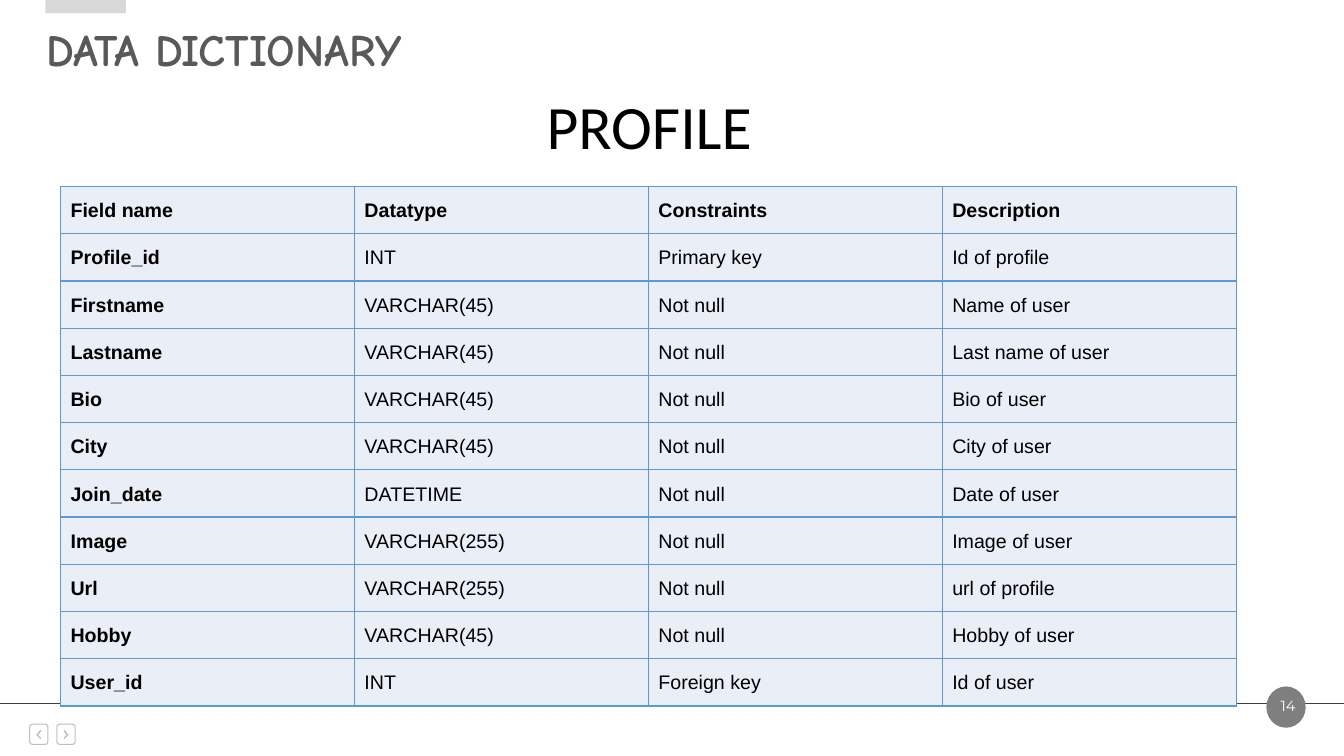
"""Build the data dictionary slide for the PROFILE table."""
from dataclasses import dataclass

from lxml.etree import SubElement
from pptx import Presentation
from pptx.dml.color import RGBColor
from pptx.enum.shapes import MSO_CONNECTOR, MSO_SHAPE
from pptx.enum.text import MSO_ANCHOR, PP_ALIGN
from pptx.oxml import parse_xml
from pptx.oxml.ns import nsdecls, qn
from pptx.util import Inches, Pt

TITLE = "DATA DICTIONARY"
TABLE_NAME = "PROFILE"
PAGE_NUMBER = "14"
FIELDS = [
    ("Field name", "Datatype", "Constraints", "Description"),
    ("Profile_id", "INT", "Primary key", "Id of profile"),
    ("Firstname", "VARCHAR(45)", "Not null", "Name of user"),
    ("Lastname", "VARCHAR(45)", "Not null", "Last name of user"),
    ("Bio", "VARCHAR(45)", "Not null", "Bio of user"),
    ("City", "VARCHAR(45)", "Not null", "City of user"),
    ("Join_date", "DATETIME", "Not null", "Date of user"),
    ("Image", "VARCHAR(255)", "Not null", "Image of user"),
    ("Url", "VARCHAR(255)", "Not null", "url of profile"),
    ("Hobby", "VARCHAR(45)", "Not null", "Hobby of user"),
    ("User_id", "INT", "Foreign key", "Id of user"),
]
TABLE_FRAME = (0.6, 1.85, 11.66, 5.15)
BUTTON_LEFTS = (0.29, 0.56)
BUTTON_TOP, BUTTON_WIDTH, BUTTON_HEIGHT = 7.18, 0.19, 0.21
CHEVRON = [(0.12, 0.07), (0.09, 0.11), (0.12, 0.14), (0.11, 0.15), (0.07, 0.11), (0.11, 0.06)]


@dataclass(frozen=True)
class Theme:
    """Colours, fonts and type sizes of the slide."""
    background: str = "FFFFFF"
    title: str = "595959"
    ink: str = "000000"
    number: str = "FFFFFF"
    tab: str = "D8D8D8"
    badge: str = "7F7F7F"
    rule: str = "3F3F3F"
    button: str = "BFBFBF"
    cell: str = "EAEFF7"
    border: str = "5B9BD5"
    title_font: str = "Comic Neue"
    name_font: str = "Calibri"
    cell_font: str = "Arial"
    number_font: str = "Montserrat"
    title_size: float = 32
    name_size: float = 44
    cell_size: float = 14
    number_size: float = 10.5
    border_width: float = 1
    thin_width: float = 0.75


THEME = Theme()


def colour(value):
    return RGBColor.from_string(value)


def style(para, name, size, value, bold=False):
    font = para.font
    font.name, font.size, font.bold = name, Pt(size), bold
    font.color.rgb = colour(value)


def paint(shape, fill):
    shape.shadow.inherit = False
    shape.fill.solid()
    shape.fill.fore_color.rgb = colour(fill)
    shape.line.fill.background()


def add_solid(page, kind, frame, fill):
    paint(page.shapes.add_shape(kind, *map(Inches, frame)), fill)


def add_text(page, text, frame, anchor, align, *font):
    box = page.shapes.add_textbox(*map(Inches, frame))
    box.text_frame.word_wrap = True
    box.text_frame.vertical_anchor = anchor
    para = box.text_frame.paragraphs[0]
    para.text, para.alignment = text, align
    style(para, *font)


def add_button(page, left, mirrored):
    half_line = 0.005
    outline = page.shapes.add_shape(
        MSO_SHAPE.ROUNDED_RECTANGLE, Inches(left + half_line), Inches(BUTTON_TOP + half_line),
        Inches(BUTTON_WIDTH - 2 * half_line), Inches(BUTTON_HEIGHT - 2 * half_line))
    outline.adjustments[0] = 0.15
    outline.shadow.inherit = False
    outline.fill.background()
    outline.line.color.rgb = colour(THEME.button)
    outline.line.width = Pt(THEME.thin_width)
    points = [(Inches(left + (BUTTON_WIDTH - x if mirrored else x)), Inches(BUTTON_TOP + y))
              for x, y in CHEVRON]
    builder = page.shapes.build_freeform(*points[0])
    builder.add_line_segments(points[1:], close=True)
    paint(builder.convert_to_shape(), THEME.button)


def add_footer(page, width):
    for left, mirrored in zip(BUTTON_LEFTS, (False, True)):
        add_button(page, left, mirrored)
    rule = page.shapes.add_connector(
        MSO_CONNECTOR.STRAIGHT, 0, Inches(6.98), width, Inches(6.98))
    rule.line.color.rgb = colour(THEME.rule)
    rule.line.width = Pt(THEME.thin_width)
    SubElement(rule._element.spPr, qn("a:effectLst"))
    add_solid(page, MSO_SHAPE.OVAL, (12.56, 6.81, 0.39, 0.41), THEME.badge)
    add_text(page, PAGE_NUMBER, (12.53, 6.86, 0.49, 0.28), MSO_ANCHOR.BOTTOM, PP_ALIGN.CENTER,
             THEME.number_font, THEME.number_size, THEME.number)


def set_borders(cell):
    properties = cell._tc.get_or_add_tcPr()
    for index, side in enumerate(("lnL", "lnR", "lnT", "lnB")):
        properties.insert(index, parse_xml(
            f'<a:{side} {nsdecls("a")} w="{Pt(THEME.border_width)}"><a:solidFill>'
            f'<a:srgbClr val="{THEME.border}"/></a:solidFill></a:{side}>'))


def add_field_table(page):
    left, top, width, height = map(Inches, TABLE_FRAME)
    table = page.shapes.add_table(len(FIELDS), len(FIELDS[0]), left, top, width, height).table
    table.horz_banding = False
    for row_index, values in enumerate(FIELDS):
        for column_index, value in enumerate(values):
            cell = table.cell(row_index, column_index)
            cell.margin_left = cell.margin_right = Inches(0.1)
            cell.margin_top = cell.margin_bottom = Inches(0.1)
            cell.fill.solid()
            cell.fill.fore_color.rgb = colour(THEME.cell)
            set_borders(cell)
            para = cell.text_frame.paragraphs[0]
            para.text, para.line_spacing = value, 1.15
            style(para, THEME.cell_font, THEME.cell_size, THEME.ink,
                  row_index == 0 or column_index == 0)


def main():
    deck = Presentation()
    deck.slide_width, deck.slide_height = Inches(13.33), Inches(7.5)
    page = deck.slides.add_slide(deck.slide_layouts[6])
    page.background.fill.solid()
    page.background.fill.fore_color.rgb = colour(THEME.background)
    add_footer(page, deck.slide_width)
    add_text(page, TITLE, (0.36, 0.16, 8.25, 0.64), MSO_ANCHOR.MIDDLE, PP_ALIGN.LEFT,
             THEME.title_font, THEME.title_size, THEME.title, True)
    add_solid(page, MSO_SHAPE.RECTANGLE, (0.45, 0, 0.8, 0.13), THEME.tab)
    add_field_table(page)
    add_text(page, TABLE_NAME, (0.61, 0.82, 11.66, 0.84), MSO_ANCHOR.TOP, PP_ALIGN.CENTER,
             THEME.name_font, THEME.name_size, THEME.ink)
    deck.save("out.pptx")


if __name__ == "__main__":
    main()
